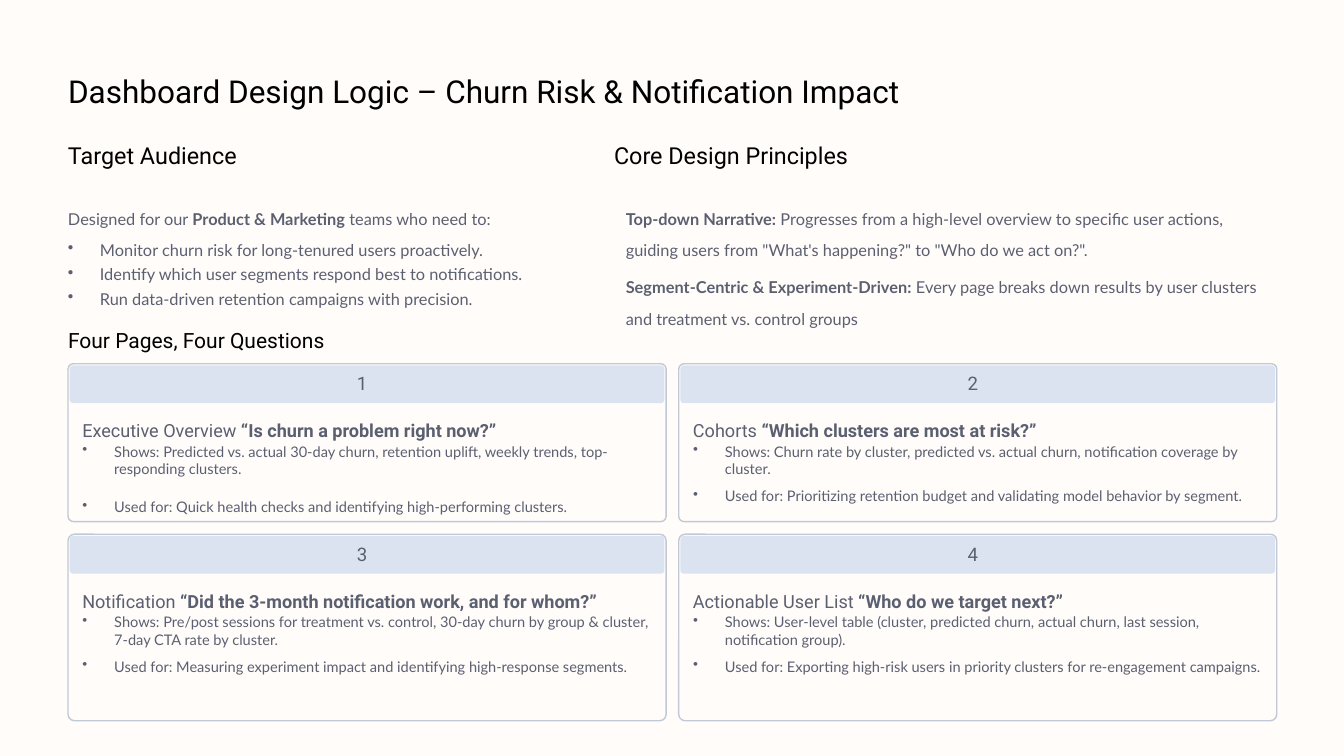
from dataclasses import dataclass
from lxml.etree import SubElement
from pptx import Presentation
from pptx.dml.color import RGBColor as Rgb
from pptx.enum.shapes import MSO_SHAPE as Shape
from pptx.oxml.ns import qn
from pptx.util import Inches, Pt


@dataclass(frozen=True)
class Theme:
    paper: str = "FFFCFA"
    ink: str = "000000"
    soft: str = "5B6071"
    edge: str = "C1C9D6"
    band: str = "DBE3F0"
    head: str = "Roboto"
    body: str = "Lato"
    title: float = 27
    topic: float = 20
    lower: float = 18
    digit: float = 16
    label: float = 15.5
    text: float = 14
    small: float = 12.5


class Deck:
    cols, rows = 16, 9

    def __init__(self, theme):
        self.theme = theme
        self.file = Presentation()
        self.file.slide_width = Inches(16)
        self.file.slide_height = Inches(9)
        self.slide = self.file.slides.add_slide(self.file.slide_layouts[6])
        fill = self.slide.background.fill
        fill.solid()
        fill.fore_color.rgb = Rgb.from_string(theme.paper)

    def frame(self, x, y, w, h):
        col = self.file.slide_width / self.cols
        row = self.file.slide_height / self.rows
        return int(x * col), int(y * row), int(w * col), int(h * row)

    def panel(self, x, y, w, h, fill, curve, line=None):
        box = self.slide.shapes.add_shape(Shape.ROUNDED_RECTANGLE, *self.frame(x, y, w, h))
        box.shadow.inherit = False
        box.adjustments[0] = curve
        box.fill.solid()
        box.fill.fore_color.rgb = Rgb.from_string(fill)
        if line:
            box.line.color.rgb = Rgb.from_string(line)
            box.line.width = Pt(1.2)
        else:
            box.line.fill.background()

    def text(self, x, y, w, h, words, size, face, tint, space=None, dot=False):
        box = self.slide.shapes.add_textbox(*self.frame(x, y, w, h))
        frame = box.text_frame
        frame.word_wrap = True
        frame.margin_left = frame.margin_right = 0
        frame.margin_top = frame.margin_bottom = 0
        para = frame.paragraphs[0]
        if dot:
            self.bullet(para, tint)
        if space:
            para.line_spacing = space
        font = para.font
        font.name, font.size = face, Pt(size)
        font.color.rgb = Rgb.from_string(tint)
        for i, piece in enumerate(words.split("**")):
            if piece:
                run = para.add_run()
                run.text = piece
                if i % 2:
                    run.font.bold = True

    def bullet(self, para, tint):
        props = para._p.get_or_add_pPr()
        props.set("marL", str(Inches(0.38)))
        props.set("indent", str(-Inches(0.38)))
        color = SubElement(props, qn("a:buClr"))
        SubElement(color, qn("a:srgbClr")).set("val", tint)
        SubElement(props, qn("a:buChar")).set("char", "•")

    def heading(self, x, y, w, h, words, size, space=1.25):
        self.text(x, y, w, h, words, size, self.theme.head, self.theme.ink, space)

    def prose(self, x, y, w, h, words, dot=False):
        t = self.theme
        self.text(x, y, w, h, words, t.text, t.body, t.soft, 1.62, dot)

    def card(self, x, y, h, digit, label, shows, use, space):
        t = self.theme
        self.panel(x, y, 7.12, h, t.paper, 0.034, t.edge)
        self.panel(x + 0.02, y + 0.02, 7.08, 0.45, t.band, 0.096)
        self.text(x + 3.44, y + 0.1, 0.23, 0.28, digit, t.digit, t.head, t.soft)
        left = x + 0.17
        self.text(left, y + 0.61, 6.93, 0.28, label, t.label, t.head, t.soft, 1.22)
        self.text(left, y + 0.94, 6.78, 0.48, shows, t.small, t.body, t.soft, dot=True)
        self.text(left, y + 1.47, 6.78, 0.24, use, t.small, t.body, t.soft, space, True)


NEEDS = [
    "Monitor churn risk for long-tenured users proactively.",
    "Identify which user segments respond best to notifications.",
    "Run data-driven retention campaigns with precision.",
]
RULES = [
    "**Top-down Narrative:** Progresses from a high-level overview to specific user actions, "
    "guiding users from \"What's happening?\" to \"Who do we act on?\".",
    "**Segment-Centric & Experiment-Driven:** Every page breaks down results by user clusters "
    "and treatment vs. control groups",
]
PAGES = [
    ("Executive Overview **“Is churn a problem right now?”**",
     "Shows: Predicted vs. actual 30-day churn, retention uplift, weekly trends, "
     "top-responding clusters.",
     "Used for: Quick health checks and identifying high-performing clusters.", 1.62),
    ("Cohorts **“Which clusters are most at risk?”**",
     "Shows: Churn rate by cluster, predicted vs. actual churn, notification coverage by cluster.",
     "Used for: Prioritizing retention budget and validating model behavior by segment.", None),
    ("Notification **“Did the 3-month notification work, and for whom?”**",
     "Shows: Pre/post sessions for treatment vs. control, 30-day churn by group & cluster, "
     "7-day CTA rate by cluster.",
     "Used for: Measuring experiment impact and identifying high-response segments.", None),
    ("Actionable User List **“Who do we target next?”**",
     "Shows: User-level table (cluster, predicted churn, actual churn, last session, "
     "notification group).",
     "Used for: Exporting high-risk users in priority clusters for re-engagement campaigns.", None),
]


def main():
    theme = Theme()
    deck = Deck(theme)
    left = 0.81
    deck.heading(left, 0.75, 10.71, 0.47,
                 "Dashboard Design Logic – Churn Risk & Notification Impact", theme.title, 1.24)
    deck.heading(left, 1.6, 2.26, 0.28, "Target Audience", theme.topic)
    deck.heading(7.31, 1.6, 3.88, 0.28, "Core Design Principles", theme.topic)
    deck.prose(left, 2.34, 6.27, 0.24,
               "Designed for our **Product & Marketing** teams who need to:")
    for i, need in enumerate(NEEDS):
        deck.prose(left, 2.71 + i * 0.59 / 2, 6.27, 0.24, need, True)
    for i, rule in enumerate(RULES):
        deck.prose(7.45, 2.34 + i * 0.82, 7.74, 0.48, rule)
    deck.heading(left, 3.82, 4.38, 0.35, "Four Pages, Four Questions", theme.lower)
    for i, page in enumerate(PAGES):
        row, col = divmod(i, 2)
        deck.card(left + col * 7.27, 4.33 + row * 2.03, (1.88, 2.22)[row], str(i + 1), *page)
    deck.file.save("out.pptx")


if __name__ == "__main__":
    main()
